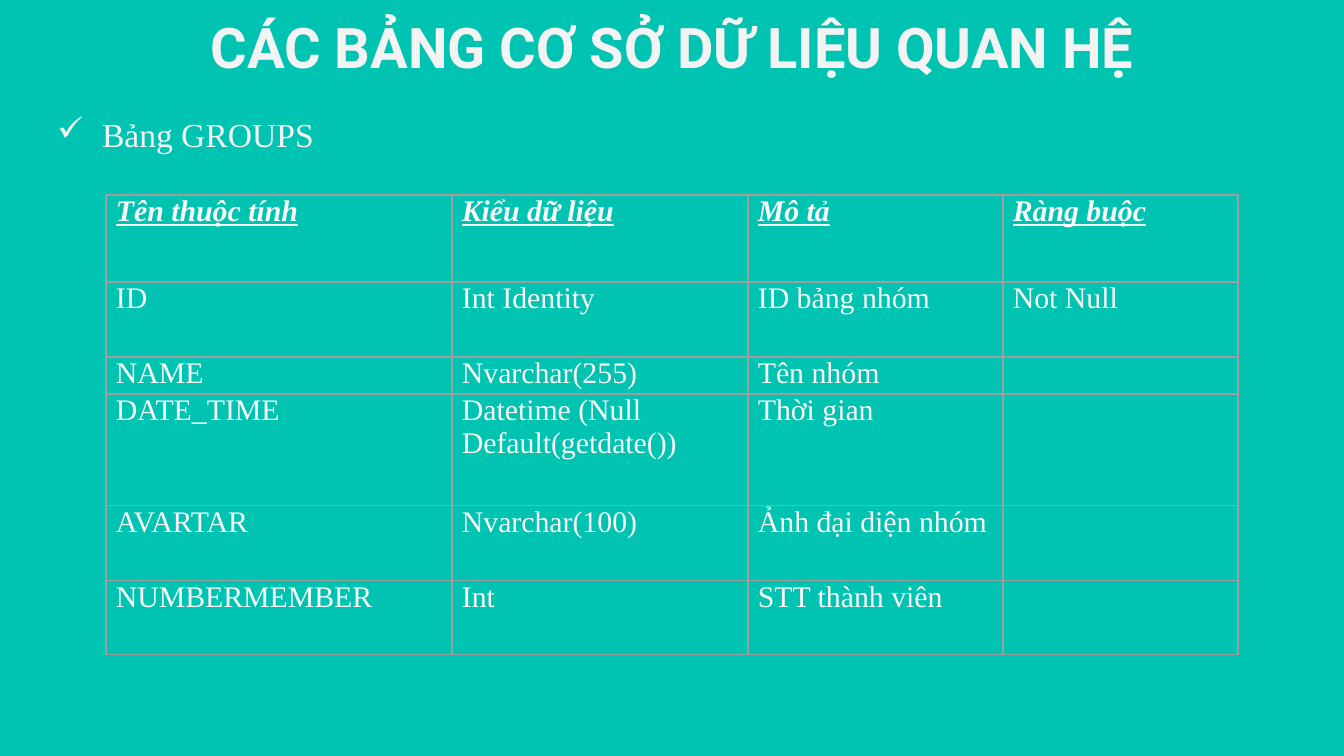
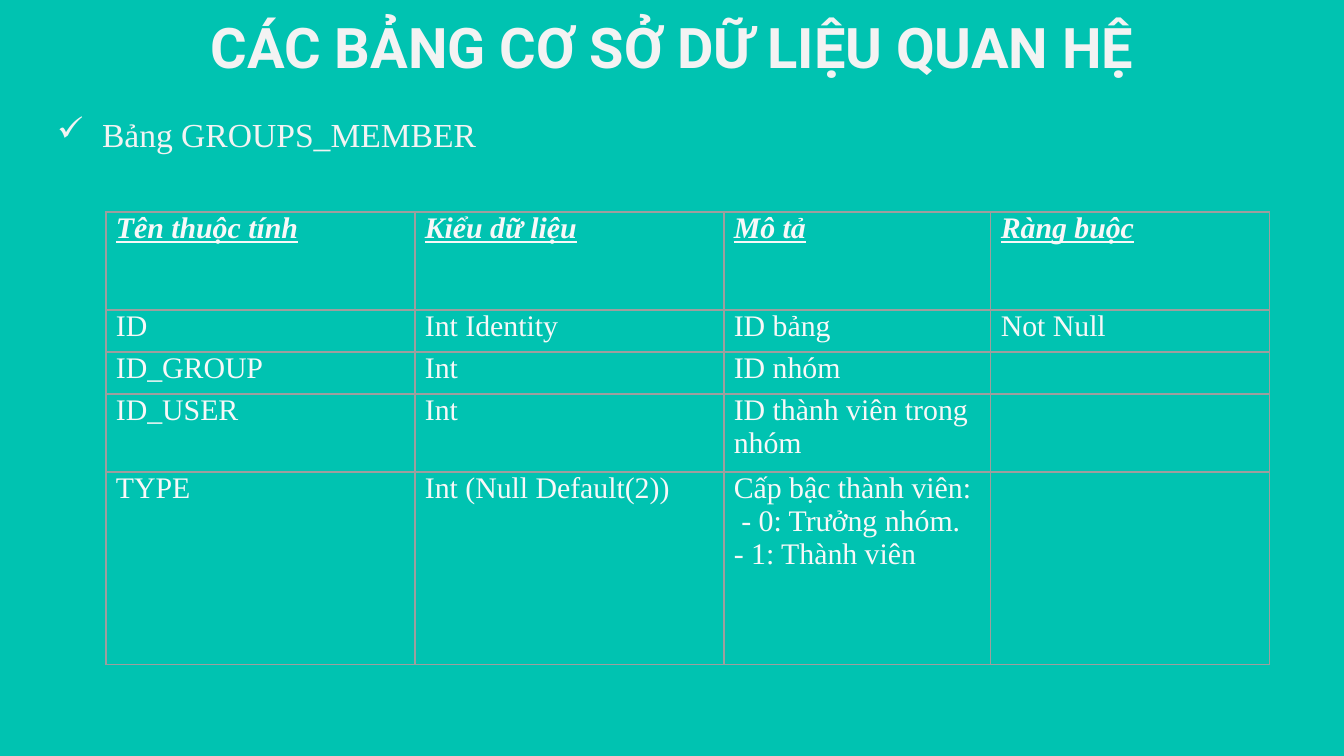
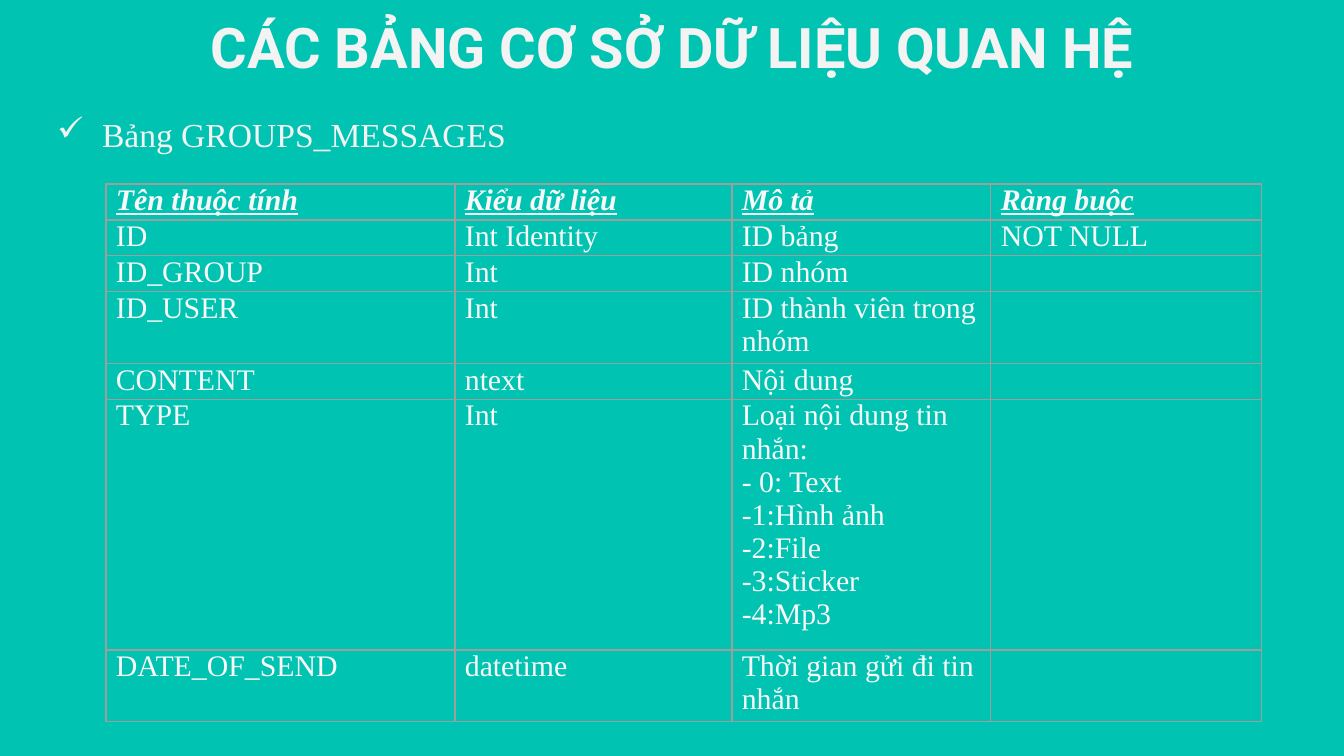
from dataclasses import dataclass

from lxml.etree import SubElement as Sub
from pptx import Presentation
from pptx.dml.color import RGBColor as Rgb
from pptx.enum.text import PP_ALIGN as Align
from pptx.oxml import parse_xml
from pptx.oxml.ns import nsdecls, qn
from pptx.util import Emu, Pt

# Shared look
BACK, PALE, WHITE, GRID = "00C3B1", "F3F3F3", "F8F8F8", "9E9E9E"
SANS, SERIF = "Roboto", "Times New Roman"
TITLE = "CÁC BẢNG CƠ SỞ DỮ LIỆU QUAN HỆ"
HEADS = ("Tên thuộc tính", "Kiểu dữ liệu", "Mô tả", "Ràng buộc")
LEFT = 106


@dataclass(frozen=True)
class Field:
    high: int
    name: str
    kind: str
    note: str
    rule: str = ""


@dataclass(frozen=True)
class Sheet:
    name: str
    top: int
    wide: tuple[int, ...]
    head: int
    fields: tuple[Field, ...]


# Contents of the three slides
SHEETS = (
    Sheet("GROUPS", 195, (346, 296, 255, 235), 87, (
        Field(75, "ID", "Int Identity", "ID bảng nhóm", "Not Null"),
        Field(37, "NAME", "Nvarchar(255)", "Tên nhóm"),
        Field(112, "DATE_TIME", "Datetime (Null Default(getdate())", "Thời gian"),
        Field(75, "AVARTAR", "Nvarchar(100)", "Ảnh đại diện nhóm"),
        Field(74, "NUMBERMEMBER", "Int", "STT thành viên"),
    )),
    Sheet("GROUPS_MEMBER", 212, (309, 309, 267, 279), 98, (
        Field(42, "ID", "Int Identity", "ID bảng", "Not Null"),
        Field(42, "ID_GROUP", "Int", "ID nhóm"),
        Field(78, "ID_USER", "Int", "ID thành viên trong nhóm"),
        Field(193, "TYPE", "Int (Null Default(2))",
              "Cấp bậc thành viên:\n - 0: Trưởng nhóm.\n- 1: Thành viên"),
    )),
    Sheet("GROUPS_MESSAGES", 184, (349, 277, 259, 271), 36, (
        Field(33, "ID", "Int Identity", "ID bảng", "NOT NULL"),
        Field(33, "ID_GROUP", "Int", "ID nhóm"),
        Field(66, "ID_USER", "Int", "ID thành viên trong nhóm"),
        Field(33, "CONTENT", "ntext", "Nội dung"),
        Field(232, "TYPE", "Int",
              "Loại nội dung tin nhắn:\v- 0: Text\n-1:Hình ảnh\n-2:File\n-3:Sticker\n-4:Mp3"),
        Field(66, "DATE_OF_SEND", "datetime", "Thời gian gửi đi tin nhắn"),
    )),
)


def px(size: int) -> Emu:
    return Emu(round(size * 914400 / 134.4))


def paint(code: str) -> Rgb:
    return Rgb.from_string(code)


def style(para, face: str, size: int, code: str, bold: bool = False) -> None:
    font = para.font
    font.name, font.size, font.bold = face, Pt(size), bold
    font.color.rgb = paint(code)


def add_text(slide, box: tuple[int, int, int, int], text: str):
    frame = slide.shapes.add_textbox(*map(px, box)).text_frame
    frame.word_wrap = True
    frame.margin_left = frame.margin_right = px(13)
    frame.margin_top = frame.margin_bottom = px(13)
    frame.text = text
    return frame.paragraphs[0]


def add_tick(para) -> None:
    props = para._p.get_or_add_pPr()
    props.set("marL", str(px(67)))
    props.set("indent", str(px(-45)))
    Sub(Sub(props, qn("a:buClr")), qn("a:srgbClr"), val=PALE)
    Sub(props, qn("a:buChar"), char="✓")


def add_edges(cell) -> None:
    props = cell._tc.get_or_add_tcPr()
    for spot, side in enumerate(("lnL", "lnR", "lnT", "lnB")):
        props.insert(spot, parse_xml(
            f'<a:{side} {nsdecls("a")} w="{Pt(0.75)}"><a:solidFill>'
            f'<a:srgbClr val="{GRID}"/></a:solidFill></a:{side}>'))


def fill_cell(cell, text: str, head: bool) -> None:
    cell.margin_left = cell.margin_right = px(10)
    cell.margin_top = cell.margin_bottom = 0
    cell.fill.background()
    add_edges(cell)
    cell.text = text
    for para in cell.text_frame.paragraphs:
        style(para, SERIF, 16, WHITE, head)
        para.font.italic = para.font.underline = head


def add_grid(slide, sheet: Sheet) -> None:
    rows = [HEADS] + [(f.name, f.kind, f.note, f.rule) for f in sheet.fields]
    highs = [sheet.head] + [f.high for f in sheet.fields]
    box = (LEFT, sheet.top, sum(sheet.wide), sum(highs))
    table = slide.shapes.add_table(len(rows), len(HEADS), *map(px, box)).table
    table.first_row = table.horz_banding = False
    for col, wide in zip(table.columns, sheet.wide):
        col.width = px(wide)
    for r, (texts, high) in enumerate(zip(rows, highs)):
        table.rows[r].height = px(high)
        for c, text in enumerate(texts):
            fill_cell(table.cell(r, c), text, r == 0)


def add_sheet(deck, sheet: Sheet) -> None:
    slide = deck.slides.add_slide(deck.slide_layouts[6])
    fill = slide.background.fill
    fill.solid()
    fill.fore_color.rgb = paint(BACK)

    # Title and ticked line
    title = add_text(slide, (LEFT, 0, 1133, 85), TITLE)
    title.alignment = Align.CENTER
    style(title, SANS, 30, PALE, True)
    line = add_text(slide, (22, 101, 1265, 621), f"Bảng {sheet.name}")
    add_tick(line)
    style(line, SERIF, 18, PALE)

    add_grid(slide, sheet)


def main() -> None:
    deck = Presentation()
    deck.slide_width, deck.slide_height = px(1344), px(756)
    for sheet in SHEETS:
        add_sheet(deck, sheet)
    deck.save("out.pptx")


if __name__ == "__main__":
    main()
